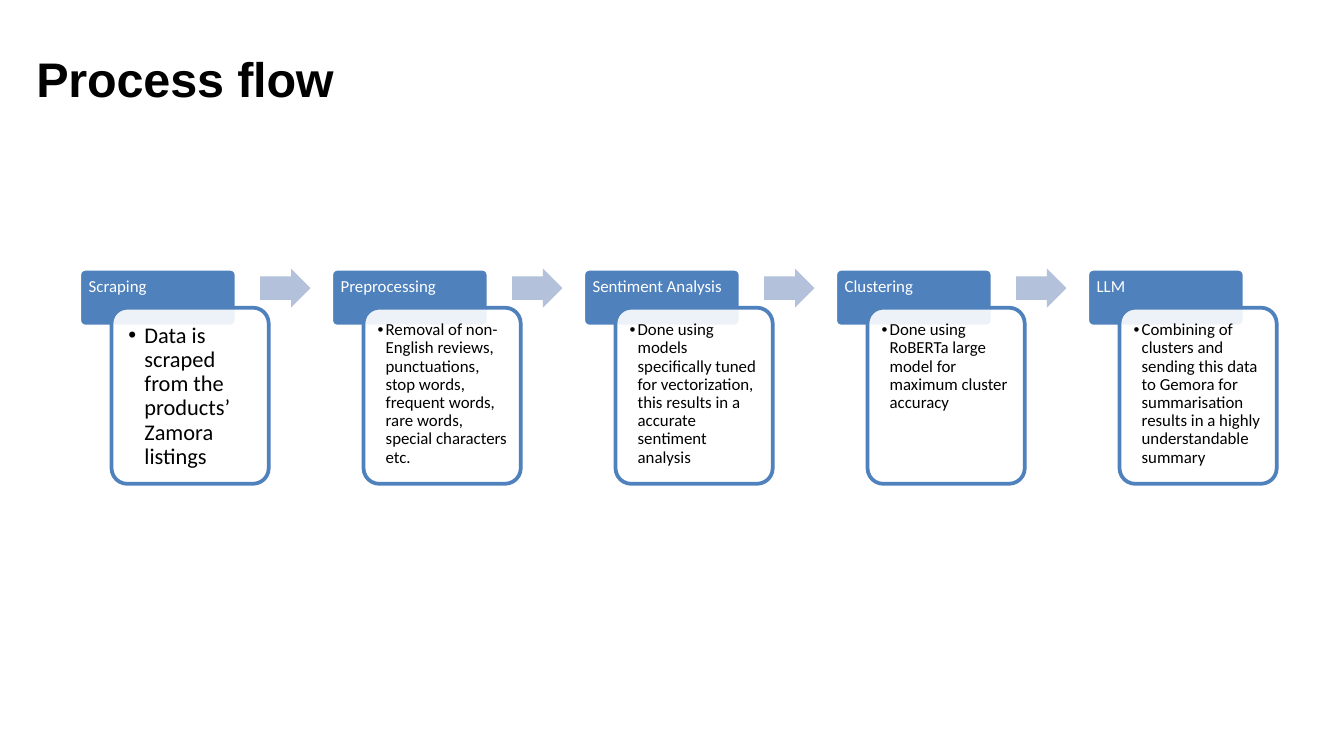
"""Build a one-slide process flow with five steps."""
from dataclasses import dataclass

from lxml.etree import SubElement
from pptx import Presentation
from pptx.dml.color import RGBColor as RGB
from pptx.enum.shapes import MSO_SHAPE as SHAPE
from pptx.enum.text import MSO_ANCHOR as ANCHOR
from pptx.oxml.ns import qn
from pptx.util import Inches, Pt


@dataclass(frozen=True)
class Theme:
    blue: str = "4F81BD"
    pale: str = "B3C1DB"
    white: str = "FFFFFF"
    black: str = "000000"
    title_font: str = "Arial"
    body_font: str = "Calibri"
    title_size: int = 26
    lead_size: int = 12
    text_size: int = 9
    border: int = 2


theme = Theme()
prs = Presentation()
prs.slide_width, prs.slide_height = Inches(10), Inches(5.625)
PX, PY = prs.slide_width / 100, prs.slide_height / 100
s = prs.slides.add_slide(prs.slide_layouts[6])


def add_text(text, *, at, size, color, font=theme.body_font, bold=False,
             inset=(0, 0, 0, 0), indent=0, bullet=False, leading=None, after=0):
    x, y, w, h = at
    tf = s.shapes.add_textbox(int(x * PX), int(y * PY), int(w * PX), int(h * PY)).text_frame
    tf.word_wrap, tf.vertical_anchor = True, ANCHOR.TOP
    tf.margin_left, tf.margin_top, tf.margin_right, tf.margin_bottom = map(Inches, inset)
    p = tf.paragraphs[0]
    p.line_spacing, p.space_after = leading, Pt(after)
    pPr = p._p.get_or_add_pPr()
    pPr.set("marL", str(Inches(indent)))
    pPr.set("indent", str(-Inches(indent) if bullet else 0))
    if bullet:
        SubElement(pPr, qn("a:buFont")).set("typeface", theme.title_font)
        SubElement(pPr, qn("a:buChar")).set("char", "•")
    r = p.add_run()
    r.text = text
    r.font.name, r.font.size, r.font.bold = font, Pt(size), bold
    r.font.color.rgb = RGB.from_string(color)
    return r


def add_box(kind, *, at, fill, adjust, line=None, alpha=None):
    x, y, w, h = at
    sp = s.shapes.add_shape(kind, int(x * PX), int(y * PY), int(w * PX), int(h * PY))
    sp.shadow.inherit = False
    for i, value in enumerate(adjust):
        sp.adjustments[i] = value
    sp.fill.solid()
    sp.fill.fore_color.rgb = RGB.from_string(fill)
    if alpha:
        clr = sp._element.spPr.find(qn("a:solidFill"))[0]
        SubElement(clr, qn("a:alpha")).set("val", str(alpha * 1000))
    if line:
        sp.line.color.rgb = RGB.from_string(line)
        sp.line.width = Pt(theme.border)
    else:
        sp.line.fill.background()


r = add_text("Process flow", at=(2, 4.4, 58.2, 10.2), size=theme.title_size,
             color=theme.black, font=theme.title_font, bold=True,
             inset=(0, 0.12, 0, 0), indent=0.07)
r._r.get_or_add_rPr().set("spc", "-10")

steps = [
    ("Scraping", "Data is scraped from the products’ Zamora listings"),
    ("Preprocessing", "Removal of non-English reviews, punctuations, stop words, "
     "frequent words, rare words, special characters etc."),
    ("Sentiment Analysis", "Done using models specifically tuned for vectorization, "
     "this results in a accurate sentiment analysis"),
    ("Clustering", "Done using RoBERTa large model for maximum cluster accuracy"),
    ("LLM", "Combining of clusters and sending this data to Gemora for "
     "summarisation results in a highly understandable summary"),
]
LEFT, PITCH, TOP, CARD_W = 5.9, 18.75, 35.55, 11.7

for i, (label, detail) in enumerate(steps):
    x = LEFT + i * PITCH
    lead = i == 0
    pad = 0.09 if lead else 0.07
    add_box(SHAPE.ROUNDED_RECTANGLE, at=(x, TOP, CARD_W, 7.65), fill=theme.blue,
            line=theme.white, adjust=[0.1])
    add_text(label, at=(x, TOP, CARD_W, 5), size=theme.text_size, color=theme.white,
             inset=(0.07, 0.07, 0.07, 0.04), leading=0.9, after=3)
    add_box(SHAPE.ROUNDED_RECTANGLE, at=(x + 2.4, TOP + 5.15, CARD_W, 23.3),
            fill=theme.white, alpha=90, line=theme.blue, adjust=[0.1])
    add_text(detail, at=(x + 2.75, TOP + 5.7, 11, 22.05),
             size=theme.lead_size if lead else theme.text_size, color=theme.black,
             inset=(pad,) * 4, indent=0.12 if lead else 0.06, bullet=True,
             leading=0.9, after=1.5)
    if i < len(steps) - 1:
        add_box(SHAPE.RIGHT_ARROW, at=(x + 13.45, TOP, 3.75, 5.15), fill=theme.pale,
                adjust=[0.6, 0.5])

prs.save("out.pptx")
